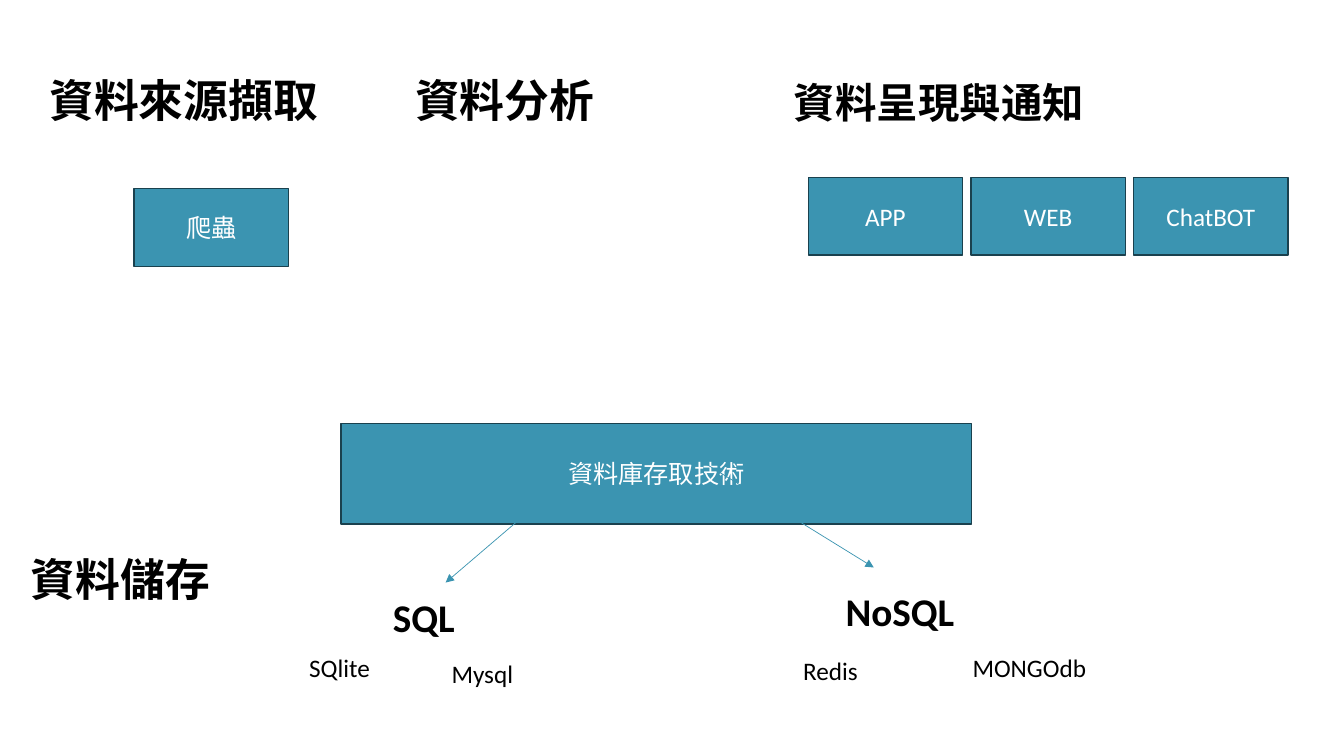
from dataclasses import dataclass

from pptx import Presentation
from pptx.dml.color import RGBColor
from pptx.enum.shapes import MSO_CONNECTOR as Connector, MSO_SHAPE as Preset
from pptx.enum.text import MSO_ANCHOR as Anchor, MSO_AUTO_SIZE as AutoSize, PP_ALIGN as Align
from pptx.oxml.ns import qn
from pptx.shapes.autoshape import Shape
from pptx.slide import Slide
from pptx.util import Cm, Pt
from lxml.etree import SubElement


@dataclass(frozen=True)
class Theme:
    font: str = "Calibri"
    fill: RGBColor = RGBColor(0x3B, 0x94, 0xB1)
    edge: RGBColor = RGBColor(0x1A, 0x41, 0x4E)
    ink: RGBColor = RGBColor(0, 0, 0)
    paper: RGBColor = RGBColor(255, 255, 255)
    heading: float = 32
    tight_heading: float = 29.6
    family: float = 28
    body: float = 18
    edge_width: float = 1
    arrow_width: float = 0.5


THEME = Theme()


@dataclass(frozen=True)
class Item:
    text: str
    left: float
    top: float
    width: float
    height: float
    size: float = THEME.body


@dataclass(frozen=True)
class Arrow:
    x1: float
    y1: float
    x2: float
    y2: float


def heading(text: str, left: float, top: float = 1.73, size: float = THEME.heading) -> Item:
    return Item(text, left, top, 8.15, 1.6, size)


def family(text: str, left: float, top: float, width: float) -> Item:
    return Item(text, left, top, width, 1.45, THEME.family)


def product(text: str, left: float, top: float, width: float = 3.15) -> Item:
    return Item(text, left, top, width, 1.02)


def tile(text: str, left: float, top: float) -> Item:
    return Item(text, left, top, 3.89, 1.96)


TITLE = heading("資料來源擷取", 0.99)
HEADINGS = [
    heading("資料分析", 10.21),
    heading("資料儲存", 0.53, 13.79),
    heading("資料呈現與通知", 19.76, size=THEME.tight_heading),
]
DATABASE = Item("資料庫存取技術", 8.59, 10.67, 15.9, 2.54)
ARROWS = [Arrow(15.57, 10.97, 11.23, 14.68), Arrow(17.5, 11.51, 22.02, 14.3)]
FAMILIES = [family("SQL", 9.65, 14.83, 3.15), family("NoSQL", 21.06, 14.68, 4.78)]
PRODUCTS = [
    product("MONGOdb", 24.26, 16.31, 4.11),
    product("Redis", 19.99, 16.38),
    product("SQlite", 7.54, 16.31),
    product("Mysql", 11.13, 16.46),
]
CHANNEL_LEFT, CHANNEL_PITCH = 20.37, 4.1
TILES = [tile("爬蟲", 3.38, 4.75)] + [
    tile(name, CHANNEL_LEFT + i * CHANNEL_PITCH, 4.47)
    for i, name in enumerate(["APP", "WEB", "ChatBOT"])
]


def write(s: Shape, item: Item, color: RGBColor, align: Align, anchor: Anchor,
          bold: bool = False, spacing: float = 1.0) -> None:
    tf = s.text_frame
    tf.word_wrap = True
    tf.auto_size = AutoSize.NONE
    tf.vertical_anchor = anchor
    p = tf.paragraphs[0]
    p.alignment = align
    p.line_spacing = spacing
    r = p.add_run()
    r.text = item.text
    r.font.name = THEME.font
    r.font.size = Pt(item.size)
    r.font.bold = bold
    r.font.color.rgb = color


def frame(item: Item) -> tuple[Cm, Cm, Cm, Cm]:
    return Cm(item.left), Cm(item.top), Cm(item.width), Cm(item.height)


def write_heading(s: Shape, item: Item) -> None:
    write(s, item, THEME.ink, Align.LEFT, Anchor.BOTTOM, bold=True, spacing=0.9)


def add_label(slide: Slide, item: Item, bold: bool = False) -> None:
    s = slide.shapes.add_textbox(*frame(item))
    write(s, item, THEME.ink, Align.LEFT, Anchor.TOP, bold)


def add_box(slide: Slide, item: Item) -> None:
    s = slide.shapes.add_shape(Preset.RECTANGLE, *frame(item))
    s.shadow.inherit = False
    s.fill.solid()
    s.fill.fore_color.rgb = THEME.fill
    s.line.color.rgb = THEME.edge
    s.line.width = Pt(THEME.edge_width)
    write(s, item, THEME.paper, Align.CENTER, Anchor.MIDDLE)


def add_arrow(slide: Slide, arrow: Arrow) -> None:
    s = slide.shapes.add_connector(
        Connector.STRAIGHT, Cm(arrow.x1), Cm(arrow.y1), Cm(arrow.x2), Cm(arrow.y2))
    s.line.color.rgb = THEME.fill
    s.line.width = Pt(THEME.arrow_width)
    props = s.element.spPr
    SubElement(props.find(qn("a:ln")), qn("a:tailEnd"), type="triangle")
    SubElement(props, qn("a:effectLst"))


def main() -> None:
    prs = Presentation()
    prs.slide_width, prs.slide_height = Cm(33.87), Cm(19.05)
    slide = prs.slides.add_slide(prs.slide_layouts.get_by_name("Title Only"))
    title = slide.shapes.title
    title.left, title.top, title.width, title.height = frame(TITLE)
    write_heading(title, TITLE)
    add_box(slide, DATABASE)
    for arrow in ARROWS:
        add_arrow(slide, arrow)
    for item in FAMILIES:
        add_label(slide, item, bold=True)
    for item in PRODUCTS:
        add_label(slide, item)
    for item in HEADINGS:
        write_heading(slide.shapes.add_textbox(*frame(item)), item)
    for item in TILES:
        add_box(slide, item)
    prs.save("out.pptx")


if __name__ == "__main__":
    main()
